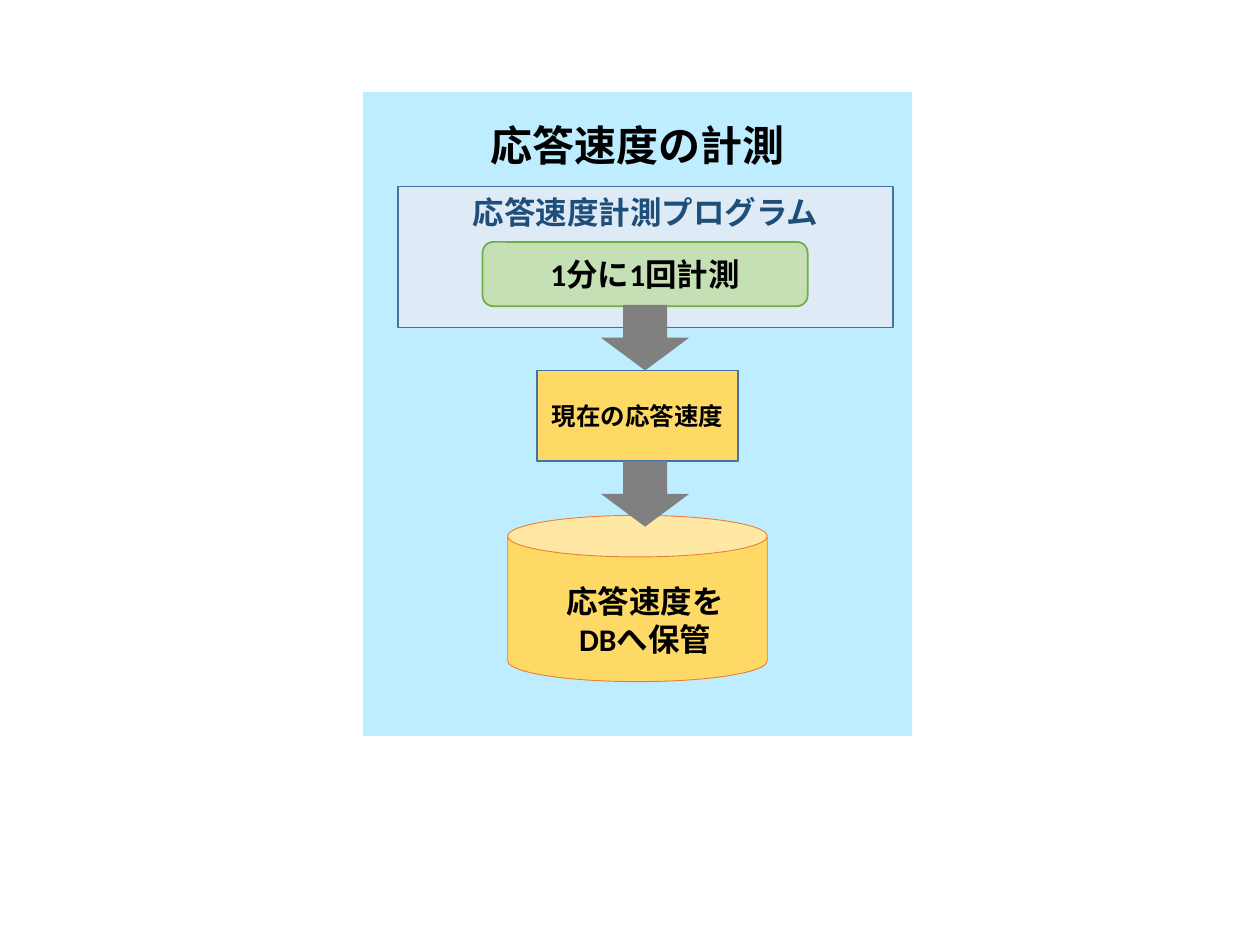
from dataclasses import dataclass

from pptx import Presentation
from pptx.dml.color import RGBColor
from pptx.enum import shapes, text
from pptx.util import Inches, Pt


@dataclass(frozen=True)
class Theme:
    font: str = "Calibri"
    title_size: int = 24
    body_size: int = 18
    small_size: int = 14
    black: str = "000000"
    navy: str = "1F4E79"
    blue: str = "43739E"
    sky: str = "BDEDFF"
    pale_blue: str = "DEEBF7"
    green: str = "70AD47"
    pale_green: str = "C5E0B4"
    yellow: str = "FFD966"
    orange: str = "ED7D31"
    gray: str = "808080"


THEME = Theme()
KIND = shapes.MSO_SHAPE
ANCHOR = text.MSO_ANCHOR
ARROW_LEFT, ARROW_WIDTH, ARROW_HEIGHT = 4.77, 0.7, 0.52


def write_text(shape, content, size=THEME.body_size, color=THEME.black,
               anchor=ANCHOR.MIDDLE, wrap=True):
    frame = shape.text_frame
    frame.auto_size = text.MSO_AUTO_SIZE.NONE
    frame.word_wrap = wrap
    frame.vertical_anchor = anchor
    paragraph = frame.paragraphs[0]
    paragraph.text = content
    paragraph.alignment = text.PP_ALIGN.CENTER
    for run in paragraph.runs:
        run.font.name = THEME.font
        run.font.size = Pt(size)
        run.font.bold = True
        run.font.color.rgb = RGBColor.from_string(color)


def add_shape(slide, kind, box, fill, line=None, line_width=1):
    shape = slide.shapes.add_shape(kind, *map(Inches, box))
    shape.shadow.inherit = False
    shape.fill.solid()
    shape.fill.fore_color.rgb = RGBColor.from_string(fill)
    if line:
        shape.line.color.rgb = RGBColor.from_string(line)
        shape.line.width = Pt(line_width)
    else:
        shape.line.fill.background()
    return shape


def add_arrow(slide, top):
    box = (ARROW_LEFT, top, ARROW_WIDTH, ARROW_HEIGHT)
    add_shape(slide, KIND.DOWN_ARROW, box, THEME.gray)


def place_title(slide, content, box):
    title = slide.shapes.title
    title.left, title.top, title.width, title.height = map(Inches, box)
    write_text(title, content, size=THEME.title_size, anchor=ANCHOR.TOP, wrap=False)
    slide.shapes.element.append(title.element)


def add_label(slide, content, box):
    label = slide.shapes.add_textbox(*map(Inches, box))
    write_text(label, content, anchor=ANCHOR.TOP)


def main():
    presentation = Presentation()
    presentation.slide_width = Inches(10)
    presentation.slide_height = Inches(7.5)
    slide = presentation.slides.add_slide(presentation.slide_layouts.get_by_name("Title Only"))

    add_shape(slide, KIND.RECTANGLE, (2.88, 0.73, 4.36, 5.11), THEME.sky)
    program = add_shape(slide, KIND.RECTANGLE, (3.16, 1.48, 3.93, 1.12),
                        THEME.pale_blue, THEME.blue)
    write_text(program, "応答速度計測プログラム", color=THEME.navy, anchor=ANCHOR.TOP)
    measurement = add_shape(slide, KIND.ROUNDED_RECTANGLE, (3.83, 1.92, 2.58, 0.51),
                            THEME.pale_green, THEME.green)
    write_text(measurement, "1分に1回計測")
    place_title(slide, "応答速度の計測", (3.78, 0.9, 2.56, 0.5))

    current_speed = add_shape(slide, KIND.RECTANGLE, (4.26, 2.94, 1.6, 0.72),
                              THEME.yellow, THEME.blue)
    write_text(current_speed, "現在の応答速度", size=THEME.small_size)
    add_arrow(slide, 2.42)
    add_shape(slide, KIND.CAN, (4.03, 4.09, 2.06, 1.32),
              THEME.yellow, THEME.orange, line_width=0.5)
    add_label(slide, "応答速度を\vDBへ保管", (3.82, 4.57, 2.6, 0.71))
    add_arrow(slide, 3.66)

    presentation.save("out.pptx")


if __name__ == "__main__":
    main()
